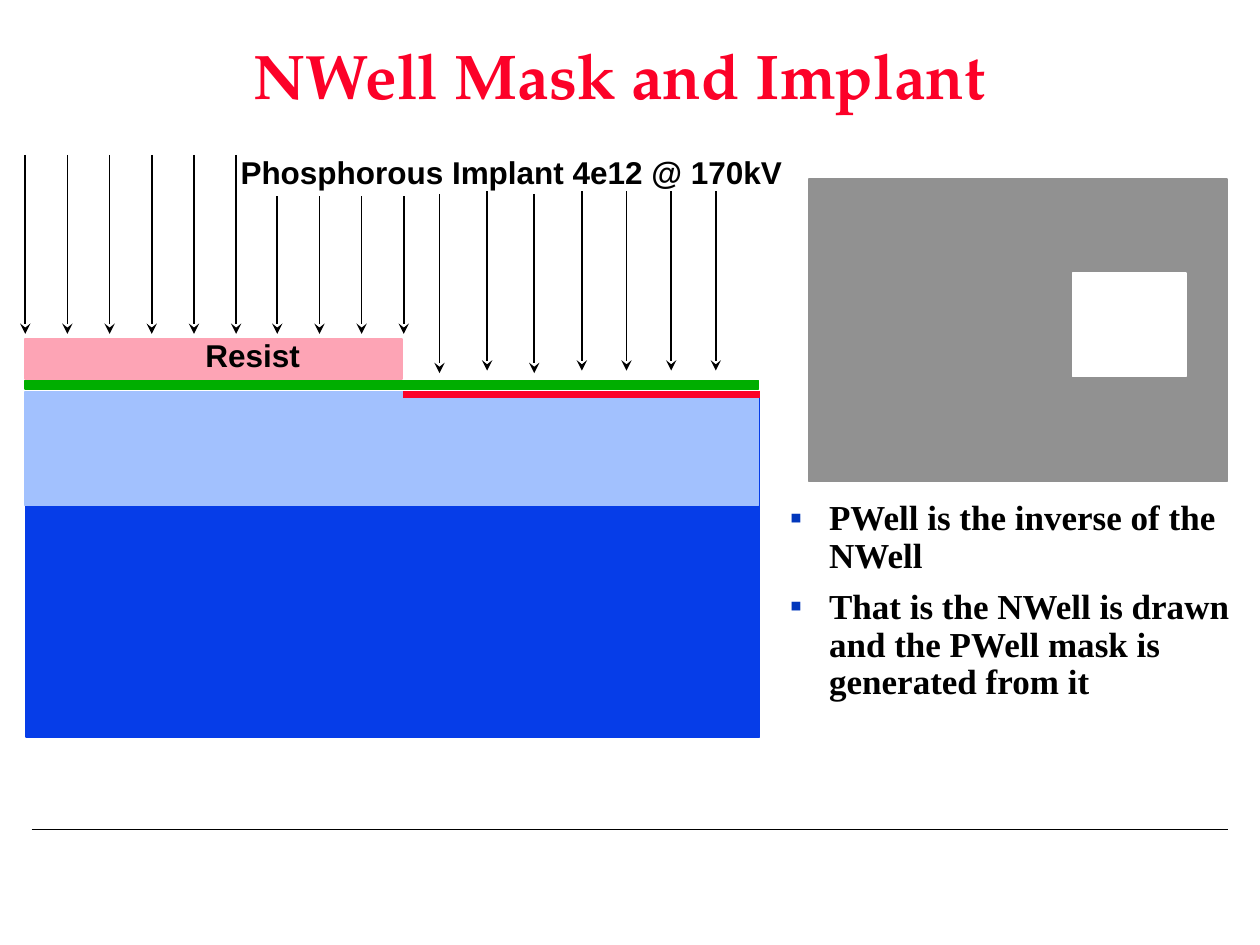
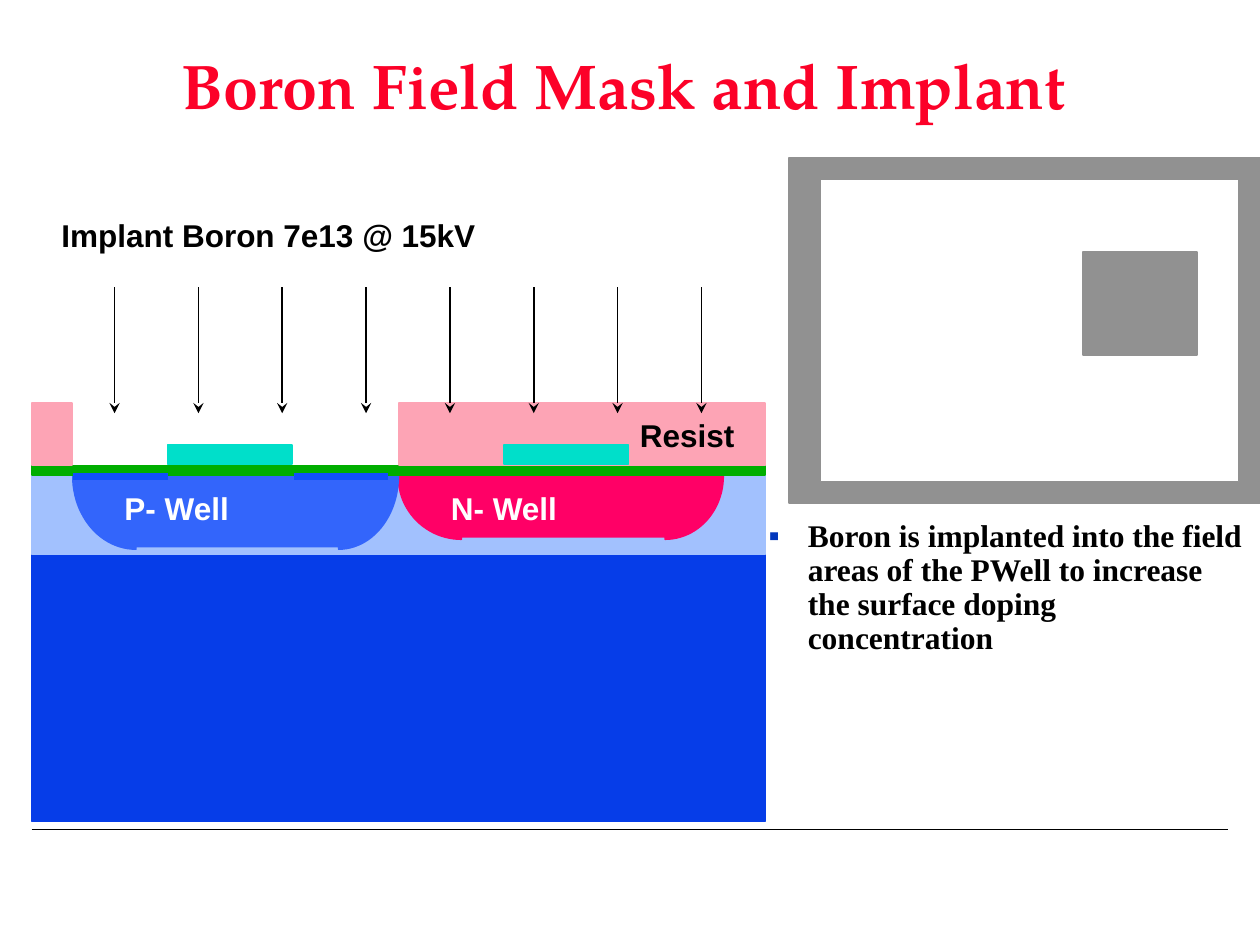
"""Build two slides on the well and field implant steps of a CMOS process."""
from math import cos, pi, sin

from lxml import etree
from pptx import Presentation
from pptx.dml.color import RGBColor
from pptx.enum.shapes import MSO_CONNECTOR, MSO_SHAPE
from pptx.enum.text import MSO_ANCHOR, MSO_AUTO_SIZE, PP_ALIGN
from pptx.oxml.ns import qn
from pptx.util import Cm, Pt

RECTANGLE = MSO_SHAPE.RECTANGLE
STRAIGHT = MSO_CONNECTOR.STRAIGHT
MIDDLE, TOP = MSO_ANCHOR.MIDDLE, MSO_ANCHOR.TOP
CENTER, LEFT = PP_ALIGN.CENTER, PP_ALIGN.LEFT
NO_FIT, GROW = MSO_AUTO_SIZE.NONE, MSO_AUTO_SIZE.SHAPE_TO_FIT_TEXT

THEME = {
    "colors": {
        "title": "FC0128", "text": "000000", "white": "FFFFFF", "bullet": "0237BC",
        "substrate": "063DE8", "epi": "A2C1FE", "resist": "FDA4B5",
        "oxide": "00AE00", "nitride": "00DFCA", "phosphorous": "FC0128",
        "boron": "114FFB", "p well": "3365FB", "n well": "FF0066", "mask": "919191",
    },
    "fonts": {"title": "TeX Gyre Pagella", "body": "Times New Roman", "label": "Arial"},
    "sizes": {"title": 36, "label": 18, "line": 1, "implant": 4},
}

SECTION_WIDTH = 14.78
LABEL_HEIGHT = 1.02
TITLE_SIZE = (19.89, 3.18)
ARC_STEPS = 24

SLIDES = [
    {
        "title": "NWell Mask and Implant",
        "title_at": (2.54, 0),
        "bullets": ["PWell is the inverse of the NWell",
                    "That is the NWell is drawn and the PWell mask is generated from it"],
        "body_box": (15.67, 9.96, 9.73, 5.28),
        "body_size": 20,
        "space_before": 7.5,
        "parts": [
            ("box", "mask", (16.31, 3.61, 8.43, 6.1)),
            ("box", "white", (21.62, 5.51, 2.29, 2.08)),
            ("label", "Phosphorous Implant 4e12 @ 170kV", (4.6, 2.97), 11.43),
            ("box", "substrate", (0.53, 7.9, SECTION_WIDTH, 6.96)),
            ("box", "epi", (0.51, 7.9, SECTION_WIDTH, 2.29)),
            ("box", "resist", (0.51, 6.83, 7.59, 0.81)),
            ("label", "Resist", (3.89, 6.65), 2.41),
            ("arrows", 0.51, 0.85, 6, 3.12, 6.73),
            ("arrows", 5.59, 0.85, 4, 3.96, 6.73),
            ("arrows", 8.86, 1.91, 2, 3.91, 7.52),
            ("arrows", 9.82, 1.91, 2, 3.86, 7.47),
            ("arrows", 12.63, 0.9, 3, 3.86, 7.47),
            ("implant", "phosphorous", 8.13, 15.32, 7.95),
            ("box", "oxide", (0.51, 7.67, SECTION_WIDTH, 0.18)),
        ],
    },
    {
        "title": "Boron Field Mask and Implant",
        "title_at": (2.62, 0.2),
        "bullets": ["Boron is implanted into the field areas of the PWell "
                    "to increase the surface doping concentration"],
        "body_box": (15.24, 10.36, 10.16, 6.15),
        "body_size": 18,
        "space_before": 6.8,
        "parts": [
            ("box", "substrate", (0.64, 9.6, SECTION_WIDTH, 6.96)),
            ("box", "epi", (0.64, 9.53, SECTION_WIDTH, 1.65)),
            ("well", "n well", (8.03, 9.3, 13.41, 14.58), 9.6, 1.27),
            ("well", "p well", (1.47, 2.74, 6.83, 8.03), 9.6, 1.47),
            ("label", "P- Well", (2.26, 9.73), 2.64, "white"),
            ("label", "N- Well", (8.84, 9.73), 2.67, "white"),
            ("box", "oxide", (0.64, 9.4, SECTION_WIDTH, 0.18)),
            ("box", "resist", (0.64, 8.13, 0.81, 1.24)),
            ("box", "resist", (8.05, 8.13, 7.37, 1.24)),
            ("box", "nitride", (3.38, 8.97, 2.51, 0.38)),
            ("box", "nitride", (10.16, 8.97, 2.51, 0.38)),
            ("label", "Resist", (12.65, 8.26), 2.41),
            ("arrows", 2.31, 1.69, 8, 5.79, 8.33),
            ("label", "Implant Boron 7e13 @ 15kV", (0.99, 4.24), 8.86),
            ("implant", "boron", 1.47, 3.38, 9.6),
            ("implant", "boron", 5.92, 7.82, 9.6),
            ("box", "mask", (15.9, 3.18, 9.5, 6.96)),
            ("box", "white", (16.54, 3.61, 8.43, 6.1), "mask"),
            ("box", "mask", (21.84, 5.08, 2.29, 2.08)),
        ],
    },
]


def color(name):
    """Return the theme colour with this name."""
    return RGBColor.from_string(THEME["colors"][name])


def set_font(paragraph, role, size, color_name):
    """Give a paragraph its bold theme font."""
    font = paragraph.font
    font.name = THEME["fonts"][role]
    font.size = Pt(size)
    font.bold = True
    font.color.rgb = color(color_name)


def place(shape, left, top, width, height):
    """Move and size a placeholder."""
    shape.left, shape.top = Cm(left), Cm(top)
    shape.width, shape.height = Cm(width), Cm(height)


def paint(shape, fill, line):
    """Fill and outline a shape without a shadow."""
    shape.shadow.inherit = False
    shape.fill.solid()
    shape.fill.fore_color.rgb = color(fill)
    shape.line.color.rgb = color(line)
    shape.line.width = Pt(THEME["sizes"]["line"])


def draw_line(slide, start, end, color_name="text", weight="line", arrow=False):
    """Draw a straight line, with an arrowhead at its end if asked."""
    line = slide.shapes.add_connector(STRAIGHT, *map(Cm, start + end))
    line.line.color.rgb = color(color_name)
    line.line.width = Pt(THEME["sizes"][weight])
    properties = line.element.spPr
    if arrow:
        etree.SubElement(properties.find(qn("a:ln")), qn("a:tailEnd"), type="stealth")
    etree.SubElement(properties, qn("a:effectLst"))
    return line


def draw_box(slide, fill, box, line=None):
    """Draw one layer or mask area."""
    paint(slide.shapes.add_shape(RECTANGLE, *map(Cm, box)), fill, line or fill)


def draw_label(slide, text, position, width, color_name="text"):
    """Write a one-line label."""
    label = slide.shapes.add_textbox(*map(Cm, (*position, width, LABEL_HEIGHT)))
    frame = label.text_frame
    frame.word_wrap = False
    frame.auto_size = GROW
    frame.text = text
    set_font(frame.paragraphs[0], "label", THEME["sizes"]["label"], color_name)


def draw_arrows(slide, left, pitch, count, top, bottom):
    """Draw a row of evenly spaced implant arrows."""
    for index in range(count):
        x = left + index * pitch
        draw_line(slide, (x, top), (x, bottom), arrow=True)


def draw_implant(slide, color_name, left, right, y):
    """Draw a thin implanted layer."""
    draw_line(slide, (left, y), (right, y), color_name, "implant")


def draw_well(slide, fill, edges, top, depth):
    """Draw a well with rounded ends and a slightly raised floor."""
    left, inner_left, inner_right, right = edges
    floor = top + depth - 0.05
    angles = [pi / 2 * step / ARC_STEPS for step in range(ARC_STEPS + 1)]
    left_arc = [(inner_left - (inner_left - left) * cos(angle), top + depth * sin(angle))
                for angle in angles]
    right_arc = [(inner_right + (right - inner_right) * sin(angle), top + depth * cos(angle))
                 for angle in angles]
    outline = left_arc + [(inner_left, floor), (inner_right, floor)] + right_arc
    points = [(Cm(x), Cm(y)) for x, y in outline]
    builder = slide.shapes.build_freeform(*points[0])
    builder.add_line_segments(points[1:], close=True)
    paint(builder.convert_to_shape(), fill, fill)


DRAWERS = {"box": draw_box, "label": draw_label, "arrows": draw_arrows,
           "implant": draw_implant, "well": draw_well}


def fill_title(title, content):
    """Write and format the slide title."""
    place(title, *content["title_at"], *TITLE_SIZE)
    frame = title.text_frame
    frame.text = content["title"]
    frame.auto_size = NO_FIT
    frame.vertical_anchor = MIDDLE
    paragraph = frame.paragraphs[0]
    paragraph.alignment = CENTER
    paragraph.line_spacing = 0.9
    set_font(paragraph, "title", THEME["sizes"]["title"], "title")


def fill_body(body, content):
    """Write the bullet list."""
    place(body, *content["body_box"])
    frame = body.text_frame
    frame.text = "\n".join(content["bullets"])
    frame.auto_size = NO_FIT
    frame.vertical_anchor = TOP
    for index, paragraph in enumerate(frame.paragraphs):
        paragraph.alignment = LEFT
        paragraph.line_spacing = 0.9
        paragraph.space_before = Pt(content["space_before"] if index else 0)
        properties = paragraph._p.get_or_add_pPr()
        properties.set("marL", str(Cm(0.79)))
        properties.set("indent", str(-Cm(0.79)))
        bullet_color = etree.SubElement(properties, qn("a:buClr"))
        etree.SubElement(bullet_color, qn("a:srgbClr"), val=THEME["colors"]["bullet"])
        etree.SubElement(properties, qn("a:buChar"), char="▪")
        set_font(paragraph, "body", content["body_size"], "text")


def main():
    """Build and save the presentation."""
    presentation = Presentation()
    presentation.slide_width, presentation.slide_height = Cm(25.4), Cm(19.05)
    layout = presentation.slide_layouts[1]
    for content in SLIDES:
        slide = presentation.slides.add_slide(layout)
        fill_title(slide.shapes.title, content)
        fill_body(slide.placeholders[1], content)
        for kind, *details in content["parts"]:
            DRAWERS[kind](slide, *details)
    footer_rule = draw_line(presentation.slides[0], (0.64, 16.72), (24.76, 16.72))
    layout.shapes.element.append(footer_rule.element)
    presentation.save("out.pptx")


if __name__ == "__main__":
    main()
